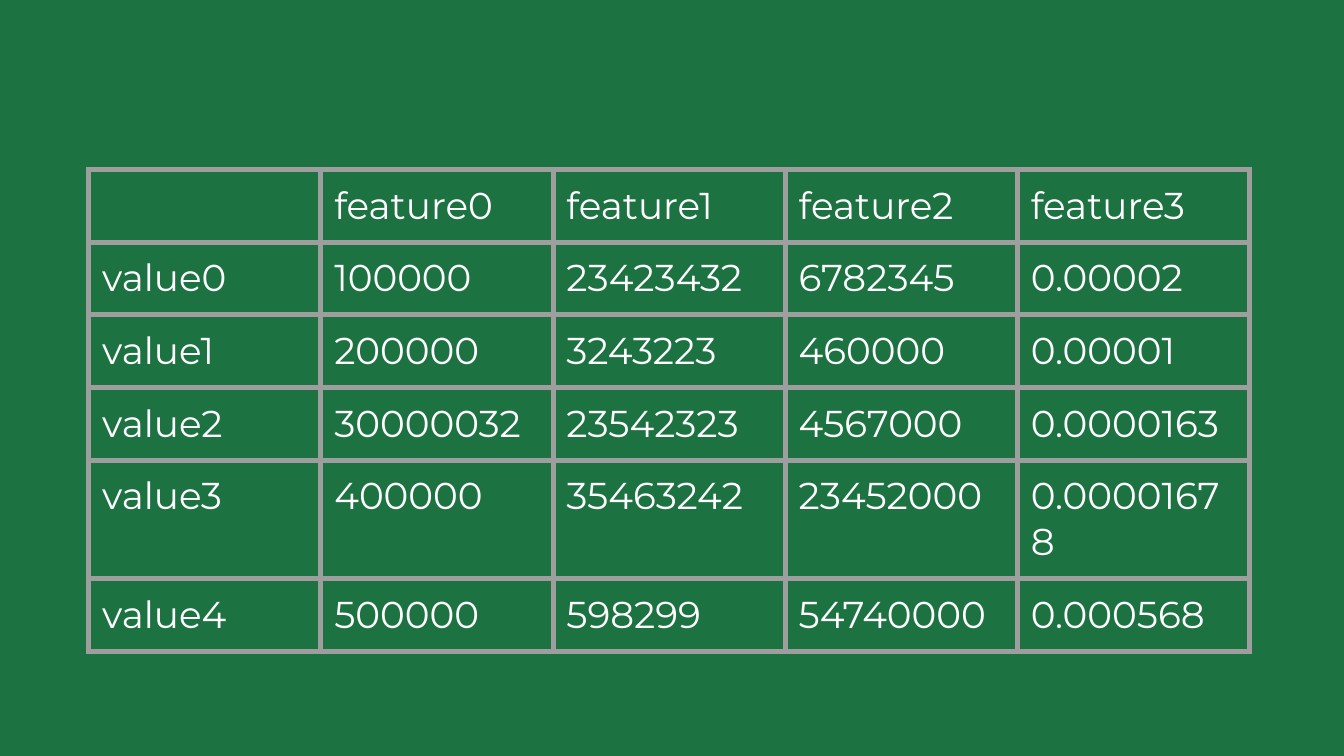
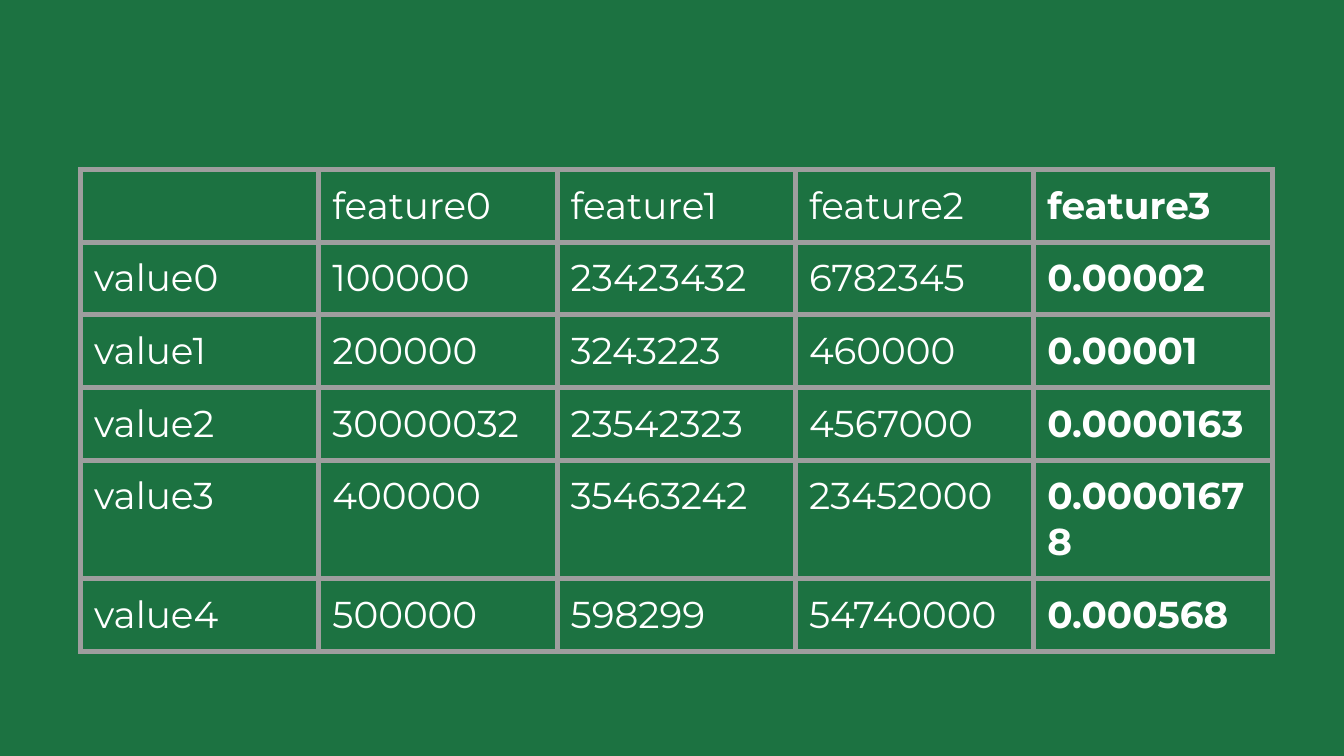
from lxml import etree
from pptx import Presentation
from pptx.dml.color import RGBColor
from pptx.oxml import ns
from pptx.util import Pt


def rgb(value):
    return RGBColor.from_string(value)


class Deck:
    BACKGROUND = "1C7241"
    TEXT = "FFFFFF"
    BORDER = "9E9E9E"
    FONT = "Montserrat"
    SIZE = 20
    MARGIN = 7.2
    BORDER_WIDTH = 3
    ROW_HEIGHT = 30.24

    def __init__(self):
        self.prs = Presentation()
        self.prs.slide_width = Pt(720)
        self.prs.slide_height = Pt(405)
        self.s = None

    def slide(self):
        self.s = self.prs.slides.add_slide(self.prs.slide_layouts[6])
        fill = self.s.background.fill
        fill.solid()
        fill.fore_color.rgb = rgb(self.BACKGROUND)

    def borders(self, cell):
        tc_pr = cell._tc.get_or_add_tcPr()
        for side in ("lnL", "lnR", "lnT", "lnB"):
            ln = etree.SubElement(tc_pr, ns.qn(f"a:{side}"), w=str(Pt(self.BORDER_WIDTH)))
            solid = etree.SubElement(ln, ns.qn("a:solidFill"))
            etree.SubElement(solid, ns.qn("a:srgbClr"), val=self.BORDER)

    def cell(self, cell, label, bold):
        cell.margin_left = cell.margin_right = Pt(self.MARGIN)
        cell.margin_top = cell.margin_bottom = Pt(self.MARGIN)
        self.borders(cell)
        cell.fill.background()
        p = cell.text_frame.paragraphs[0]
        if label:
            p.add_run().text = label
        p.font.name = self.FONT
        p.font.size = Pt(self.SIZE)
        p.font.bold = bold
        p.font.color.rgb = rgb(self.TEXT)

    def table(self, rows, left, top, column_width, bold_column=None):
        n_rows, n_cols = len(rows), len(rows[0])
        frame = self.s.shapes.add_table(
            n_rows, n_cols, Pt(left), Pt(top),
            Pt(column_width * n_cols), Pt(self.ROW_HEIGHT * n_rows))
        table = frame.table
        table.first_row = table.horz_banding = False
        for column in table.columns:
            column.width = Pt(column_width)
        for row, labels in zip(table.rows, rows):
            row.height = Pt(self.ROW_HEIGHT)
            for i, (cell, label) in enumerate(zip(row.cells, labels)):
                self.cell(cell, label, i == bold_column)


FEATURES = [
    ["", "feature0", "feature1", "feature2", "feature3"],
    ["value0", "100000", "23423432", "6782345", "0.00002"],
    ["value1", "200000", "3243223", "460000", "0.00001"],
    ["value2", "30000032", "23542323", "4567000", "0.0000163"],
    ["value3", "400000", "35463242", "23452000", "0.00001678"],
    ["value4", "500000", "598299", "54740000", "0.000568"],
]
TABLE_TOP = 90.8

deck = Deck()

deck.slide()
deck.table(FEATURES, 47.5, TABLE_TOP, 124.4)

deck.slide()
deck.table(FEATURES, 43.2, TABLE_TOP, 127.7, bold_column=4)

deck.prs.save("out.pptx")
